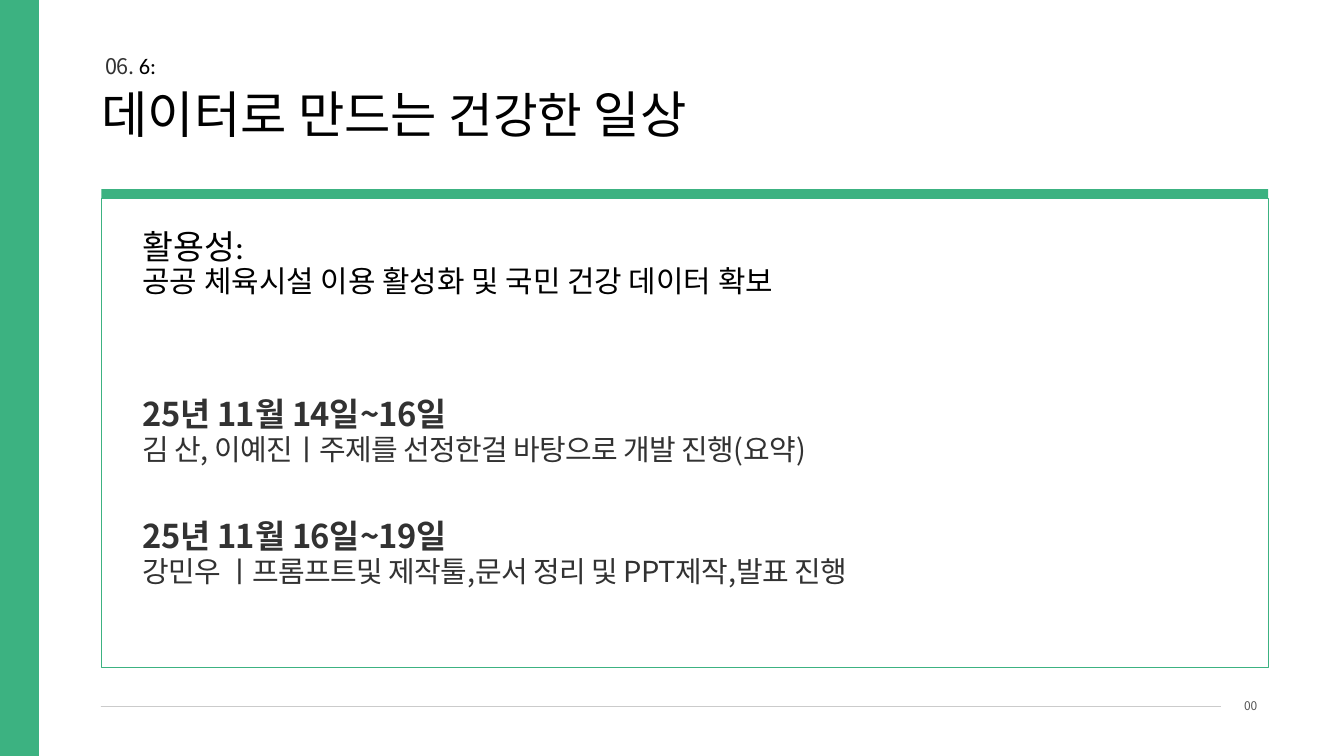
from lxml import etree
from pptx import Presentation
from pptx import util as u
from pptx.dml.color import RGBColor
from pptx.enum import shapes, text
from pptx.oxml.ns import qn

Pt = u.Pt
COLORS = {"green": "3CB281", "black": "000000", "dark": "323232", "gray": "545454"}
NOTO = "Noto Sans CJK KR"
LATIN = "Calibri"

deck = Presentation()
deck.slide_width, deck.slide_height = Pt(1440), Pt(810)
slide = deck.slides.add_slide(deck.slide_layouts[6])


def color(name):
    return RGBColor.from_string(COLORS[name])


def add_text(runs, left, top, width, height, leading, font=LATIN, ink="black",
             bold=False, spacing=0, align=text.PP_ALIGN.LEFT):
    """Add a one-line box; runs holds (wording, size, optional format) tuples."""
    box = slide.shapes.add_textbox(Pt(left), Pt(top), Pt(width), Pt(height))
    frame = box.text_frame
    frame.word_wrap = True
    frame.margin_left = frame.margin_right = frame.margin_top = frame.margin_bottom = 0
    para = frame.paragraphs[0]
    para.alignment, para.line_spacing = align, Pt(leading)
    for wording, size, *extra in runs:
        style = {"font": font, "ink": ink, "spacing": spacing}
        style.update(*extra)
        span = para.add_run()
        span.text = wording
        span.font.size, span.font.bold = Pt(size), bold
        span.font.name = style["font"]
        span.font.color.rgb = color(style["ink"])
        props = span.font._element
        if style["spacing"]:
            props.set("spc", str(round(style["spacing"] * 100)))
        if style["font"] == NOTO:
            props.find(qn("a:latin")).addnext(etree.Element(qn("a:ea"), typeface=NOTO))


# Page number and footer rule
add_text([("00", 12.8)], 1308.2, 748.1, 38.9, 16.6, 15.4, font=NOTO, ink="gray",
         spacing=-0.2, align=text.PP_ALIGN.RIGHT)
rule = slide.shapes.add_connector(shapes.MSO_CONNECTOR.STRAIGHT,
                                  Pt(108), Pt(756.9), Pt(1308.2), Pt(756.9))
rule.line.color.rgb = color("gray")
rule.line.width = Pt(0.75)
etree.SubElement(rule.line._ln.find(".//" + qn("a:srgbClr")), qn("a:alpha"), val="30000")
etree.SubElement(rule._element.spPr, qn("a:effectLst"))

# Side band, content frame and its top bar
for left, top, width, height, filled in [
    (0, 0, 41.8, 810, True),
    (108.7, 212.4, 1250.6, 502.9, False),
    (108.7, 202.5, 1250, 9.9, True),
]:
    panel = slide.shapes.add_shape(shapes.MSO_SHAPE.RECTANGLE,
                                   Pt(left), Pt(top), Pt(width), Pt(height))
    panel.shadow.inherit = False
    if filled:
        panel.fill.solid()
        panel.fill.fore_color.rgb = color("green")
        panel.line.fill.background()
    else:
        panel.fill.background()
        panel.line.color.rgb = color("green")
        panel.line.width = Pt(1.5)

# Title and section number
add_text([("데이터로 만드는 ", 54), ("건강한", 52), (" 일상", 54)],
         108.7, 91.2, 683.3, 62.6, 62.4)
add_text([("06. ", 23.1, {"font": NOTO, "ink": "dark", "spacing": -0.5}), ("6:", 24)],
         113, 56.9, 306.7, 28.1, 27.8)

# Usefulness
add_text([("활용성:", 36)], 152.6, 243.4, 490.3, 42.5, 42)
add_text([("공공 체육시설 이용 활성화 및 국민 건강 데이터 확보", 32)],
         152.6, 283, 874, 37.4, 37.2)

# Schedule: date above, people and work below
for top, date, work in [
    (421.9, "25년 11월 14일~16일", "김 산, 이예진ㅣ주제를 선정한걸 바탕으로 개발 진행(요약)"),
    (552.2, "25년 11월 16일~19일", "강민우 ㅣ프롬프트및 제작툴,문서 정리 및 PPT제작,발표 진행"),
]:
    add_text([(date, 35)], 152.6, top, 490.3, 42.5, 42, font=NOTO, ink="dark",
             bold=True, spacing=-0.7)
    add_text([(work, 31)], 152.6, top + 40.6, 893.5, 37.4, 37.2, font=NOTO,
             ink="dark", spacing=-0.6)

deck.save("out.pptx")
